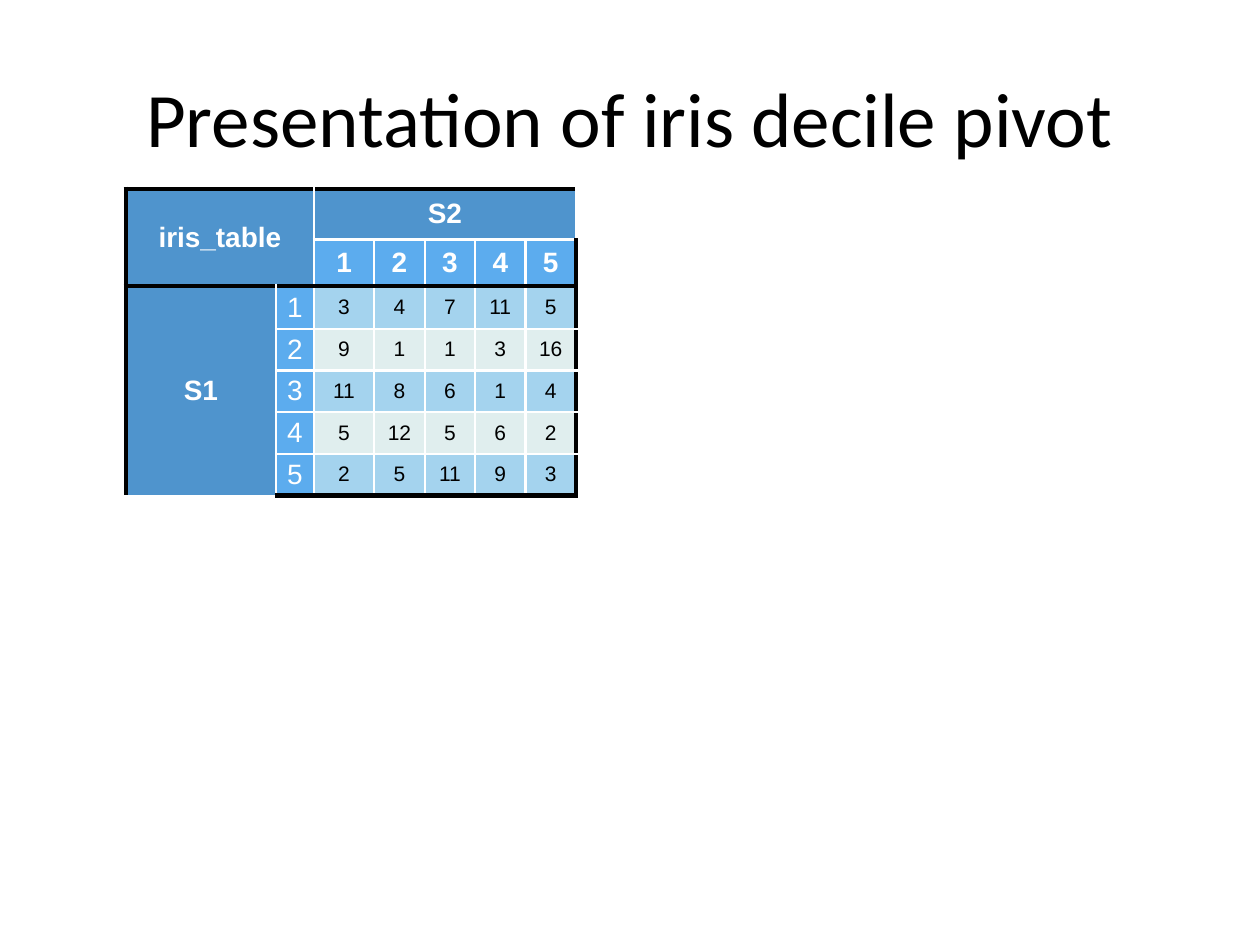
from lxml import etree
from pptx import Presentation
from pptx.dml.color import RGBColor
from pptx.enum import text
from pptx.oxml import ns
from pptx.util import Pt

COLOURS = {
    "ink": "000000",
    "white": "FFFFFF",
    "title": "4F94CD",
    "head": "5CACEE",
    "odd": "A4D3EE",
    "even": "E0EEEE",
}
COLUMNS = [85.7, 21.6, 34.6] + [28.8] * 4
ROWS = [28.8, 26.6, 24.5] + [23.8] * 4
COUNTS = [
    [3, 4, 7, 11, 5],
    [9, 1, 1, 3, 16],
    [11, 8, 6, 1, 4],
    [5, 12, 5, 6, 2],
    [2, 5, 11, 9, 3],
]
HEAD_ROWS = HEAD_COLUMNS = 2
MERGES = [(0, 0, 1, 1), (0, 2, 0, 6), (2, 0, 6, 0)]


def colour(name):
    """Return the named colour."""
    return RGBColor.from_string(COLOURS[name])


def style_font(span, face, size, ink, bold=False):
    """Set the face, size, colour and weight of a run."""
    span.font.name = face
    span.font.size = Pt(size)
    span.font.bold = bold
    span.font.color.rgb = colour(ink)


def add_title(page, box, words):
    """Place a centred heading in the box."""
    frame = page.shapes.add_textbox(*map(Pt, box)).text_frame
    frame.word_wrap = True
    frame.vertical_anchor = text.MSO_ANCHOR.MIDDLE
    frame.text = words
    para = frame.paragraphs[0]
    para.alignment = text.PP_ALIGN.CENTER
    style_font(para.runs[0], "Calibri", 44, "ink")


def draw_border(cell, side, ink, width):
    """Draw one border of a cell."""
    line = etree.SubElement(cell._tc.get_or_add_tcPr(), ns.qn(f"a:ln{side}"), w=str(Pt(width)))
    fill = etree.SubElement(line, ns.qn("a:solidFill"))
    etree.SubElement(fill, ns.qn("a:srgbClr"), val=COLOURS[ink])


def draw_borders(cell, row, column):
    """Rule outer edges and the header's foot in black, inner edges in white."""
    merge = next((m for m in MERGES if m[0] <= row <= m[2] and m[1] <= column <= m[3]),
                 (row, column, row, column))
    top, left, bottom, right = merge
    if column == left:
        draw_border(cell, "L", *edge_style(column in (0,)))
    if column == right:
        draw_border(cell, "R", *edge_style(column + 1 == len(COLUMNS)))
    if row == top:
        draw_border(cell, "T", *edge_style(row in (0, HEAD_ROWS)))
    if row == bottom:
        draw_border(cell, "B", *edge_style(row + 1 in (HEAD_ROWS, len(ROWS))))


def edge_style(heavy):
    """Return the colour and width of a heavy or light rule."""
    return ("ink", 3) if heavy else ("white", 1.5)


def cell_style(row, column):
    """Return fill, text colour, size and weight for a grid position."""
    if row == 0 or column == 0 or (row < HEAD_ROWS and column < HEAD_COLUMNS):
        return "title", "white", 16, True
    if row < HEAD_ROWS or column < HEAD_COLUMNS:
        return "head", "white", 16, row < HEAD_ROWS
    return ("even" if (row - HEAD_ROWS) % 2 else "odd"), "ink", 12, False


def fill_cell(cell, words, row, column):
    """Write, colour and rule one cell."""
    fill, ink, size, bold = cell_style(row, column)
    cell.margin_left = cell.margin_right = cell.margin_top = cell.margin_bottom = 0
    cell.vertical_anchor = text.MSO_ANCHOR.MIDDLE
    draw_borders(cell, row, column)
    cell.fill.solid()
    cell.fill.fore_color.rgb = colour(fill)
    if words:
        cell.text = words
        para = cell.text_frame.paragraphs[0]
        para.alignment = text.PP_ALIGN.CENTER
        para.space_before = para.space_after = Pt(3)
        for side in ("marL", "marR"):
            para._p.get_or_add_pPr().set(side, str(Pt(3)))
        style_font(para.runs[0], "Arial", size, ink, bold)


def add_pivot(page, left, top):
    """Place the decile pivot table with its corner at left, top."""
    box = map(Pt, (left, top, sum(COLUMNS), sum(ROWS)))
    table = page.shapes.add_table(len(ROWS), len(COLUMNS), *box).table
    table.first_row = table.horz_banding = False
    for column, width in zip(table.columns, COLUMNS):
        column.width = Pt(width)
    for row, height in zip(table.rows, ROWS):
        row.height = Pt(height)
    labels = {(0, 0): "iris_table", (0, 2): "S2", (2, 0): "S1"}
    for i, counts in enumerate(COUNTS):
        labels[1, HEAD_COLUMNS + i] = labels[HEAD_ROWS + i, 1] = str(i + 1)
        for j, count in enumerate(counts):
            labels[HEAD_ROWS + i, HEAD_COLUMNS + j] = str(count)
    for first_row, first_column, last_row, last_column in MERGES:
        table.cell(first_row, first_column).merge(table.cell(last_row, last_column))
    for row in range(len(ROWS)):
        for column in range(len(COLUMNS)):
            fill_cell(table.cell(row, column), labels.get((row, column)), row, column)


def main():
    """Build the slide and save the deck."""
    deck = Presentation()
    deck.slide_width, deck.slide_height = Pt(720), Pt(540)
    page = deck.slides.add_slide(deck.slide_layouts[6])
    add_title(page, (36, 21.6, 648, 90), "Presentation of iris decile pivot")
    add_pivot(page, 72, 108)
    deck.save("out.pptx")


if __name__ == "__main__":
    main()
